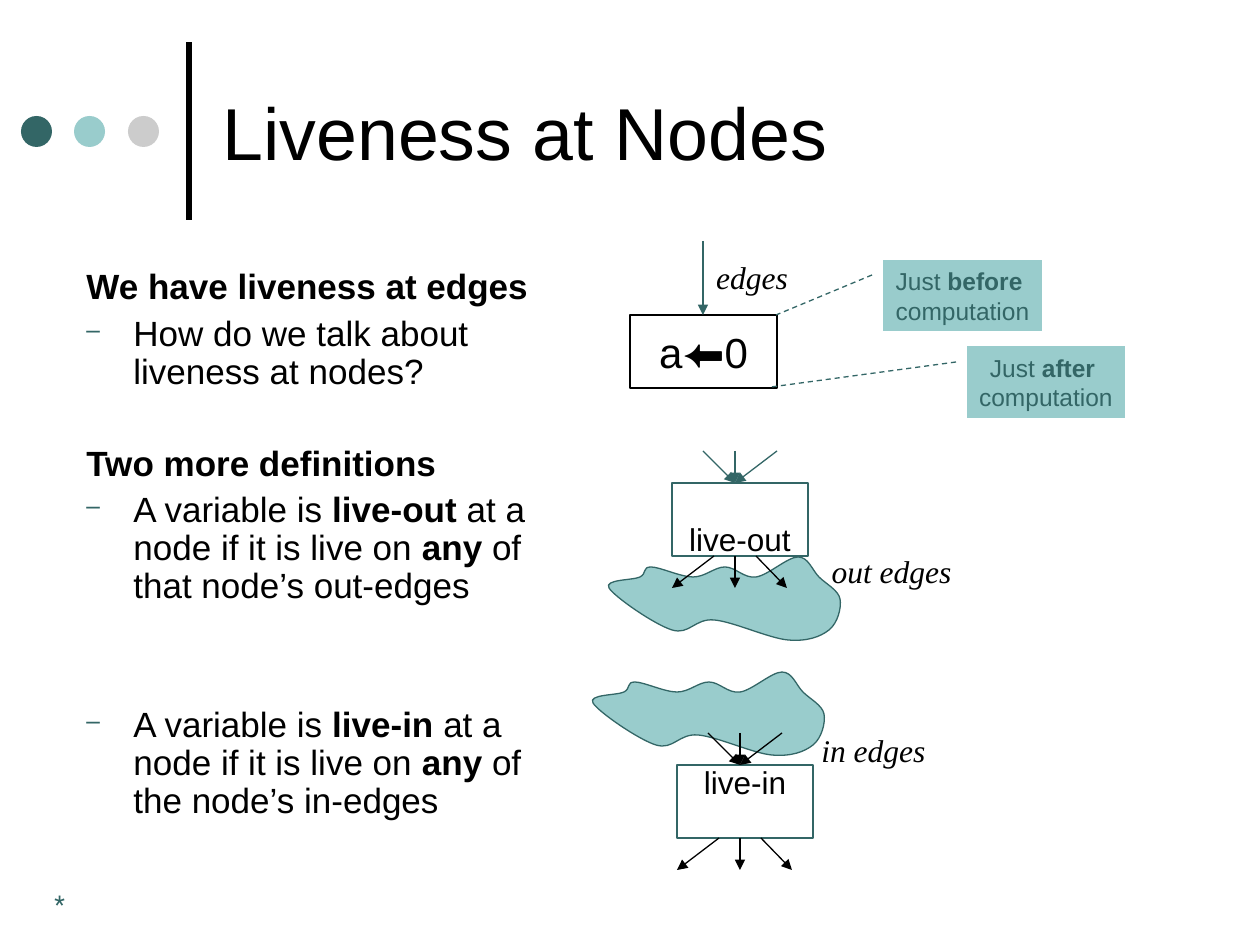
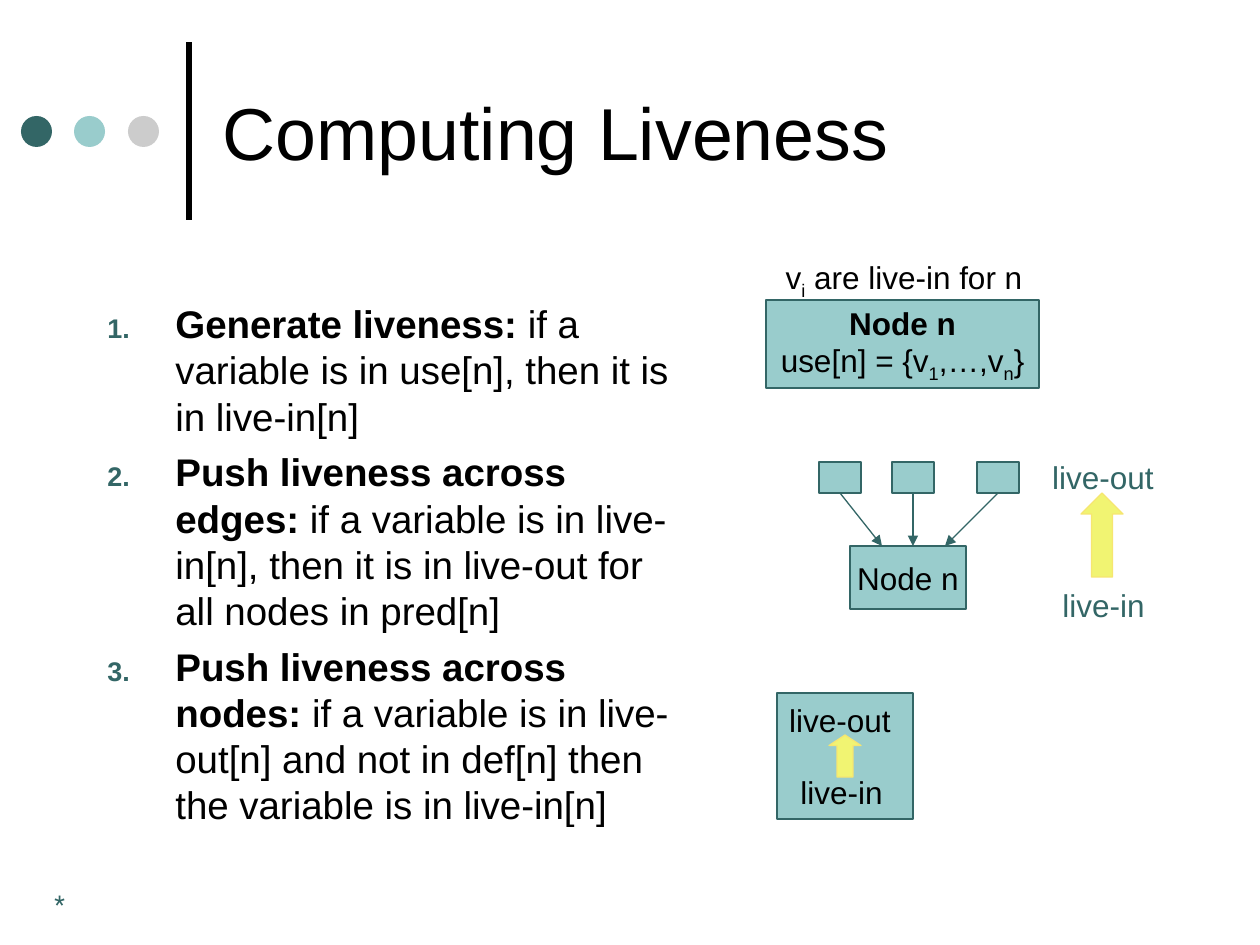
import pptx
import pptx.util
import pptx.dml.color
import pptx.enum.dml
import pptx.enum.shapes
import pptx.enum.text
import pptx.oxml.ns
from lxml import etree

RGBColor = pptx.dml.color.RGBColor
Pt = pptx.util.Pt
Shape = pptx.enum.shapes.MSO_SHAPE
Anchor = pptx.enum.text.MSO_ANCHOR
Align = pptx.enum.text.PP_ALIGN
qn = pptx.oxml.ns.qn

PX = 914400 / 126
LINE_HEIGHT = 1.2
SUBSCRIPT_DROP = 2.9
SANS, SERIF, FOOTER_FONT = "Arial", "Times New Roman", "Roboto Condensed"
BLACK = RGBColor(0, 0, 0)
WHITE = RGBColor(255, 255, 255)
TEAL = RGBColor(0x33, 0x66, 0x66)
AQUA = RGBColor(0x99, 0xCC, 0xCC)
GRAY = RGBColor(0xCC, 0xCC, 0xCC)
YELLOW = RGBColor(0xF1, 0xF4, 0x72)
GOLD = RGBColor(0xF6, 0xE6, 0x70)

DASH = ("buChar", {"char": "–"})
NUMBER = ("buAutoNum", {"type": "arabicPeriod"})

DEFINITIONS = [
    (0, None, [("We have liveness at edges", "b")]),
    (5, DASH, [("How do we talk about liveness at nodes?", "")]),
    (31, None, [("Two more definitions", "b")]),
    (5, DASH, [("A variable is ", ""), ("live-out", "b"), (" at a node if it is live on ", ""),
               ("any", "b"), (" of that node’s out-edges", "")]),
    (58, DASH, [("A variable is ", ""), ("live-in", "b"), (" at a node if it is live on ", ""),
                ("any", "b"), (" of the node’s in-edges", "")]),
]
RULES = [
    (0, NUMBER, [("Generate liveness:", "b"),
                 (" if a variable is in use[n], then it is in live-in[n]", "")]),
    (5.5, NUMBER, [("Push liveness across edges:", "b"),
                   (" if a variable is in live-in[n], then it is in live-out for all nodes in pred[n]", "")]),
    (5.5, NUMBER, [("Push liveness across nodes:", "b"),
                   (" if a variable is in live-out[n] and not in def[n] then the variable is in live-in[n]", "")]),
]

DOTS = [(21, TEAL), (74, AQUA), (128, GRAY)]
CALLOUTS = [
    ((883, 260, 159, 71), "before ", (776, 315, 872, 275)),
    ((967, 346, 158, 72), "after ", (771, 387, 956, 362)),
]
EDGE_LABELS = [
    ("edges", (704, 252, 96, 50)),
    ("out edges", (819, 546, 145, 50)),
    ("in edges", (809, 725, 129, 50)),
]
CLOUD = [(609, 588), (672, 630), (714, 620), (788, 640), (829, 630), (840, 599), (819, 577),
         (798, 557), (756, 577), (725, 567), (693, 577), (651, 567), (640, 577)]
NODES = [
    ("live-out", (0, 0), (0, 0), (39, 0), TEAL),
    ("live-in", (5, 282), (-16, 115), (0, 39), BLACK),
]
IN_EDGES = [(703, 451, 735, 483), (735, 451, 735, 483), (777, 451, 735, 483)]
OUT_EDGES = [(756, 556, 787, 588), (714, 556, 672, 588), (735, 556, 735, 588)]

PREDECESSORS = [(819, 882), (892, 913), (977, 945)]
USE_NODE = [[("Node n", "b")],
            [("use[n] = {v", ""), ("1", "sub"), (",…,v", ""), ("n", "sub"), ("}", "")]]


def emu(*lengths):
    return [round(length * PX) for length in lengths]


def write(frame, paragraphs, size, color=BLACK, font=SANS, align=Align.CENTER, spacing=1.0):
    for index, spans in enumerate(paragraphs):
        para = frame.paragraphs[0] if index == 0 else frame.add_paragraph()
        para.alignment = align
        drop = SUBSCRIPT_DROP if any(style == "sub" for _, style in spans) else 0
        para.line_spacing = Pt(round(size * LINE_HEIGHT * spacing + drop, 1))
        for text, style in spans:
            span = para.add_run()
            span.text = text
            span.font.name = font
            span.font.size = Pt(size)
            span.font.color.rgb = color
            span.font.bold = style == "b"
            span.font.italic = style == "i"
            if style == "sub":
                span._r.get_or_add_rPr().set("baseline", "-25000")


def add_text(shapes, place, paragraphs, size, anchor=Anchor.TOP, **style):
    frame = shapes.add_textbox(*emu(*place)).text_frame
    frame.word_wrap = True
    frame.vertical_anchor = anchor
    write(frame, paragraphs, size, **style)
    return frame


def add_label(shapes, place, spans, **style):
    frame = add_text(shapes, place, [spans], 18, **style)
    frame.word_wrap = False
    frame.margin_left = frame.margin_right = 0


def paint(shape, fill, line):
    shape.shadow.inherit = False
    shape.fill.solid()
    shape.fill.fore_color.rgb = fill
    if line is None:
        shape.line.fill.background()
    else:
        shape.line.color.rgb = line
        shape.line.width = Pt(0.75)


def add_box(shapes, place, fill=AQUA, line=TEAL, kind=Shape.RECTANGLE):
    box = shapes.add_shape(kind, *emu(*place))
    paint(box, fill, line)
    box.text_frame.word_wrap = False
    box.text_frame.vertical_anchor = Anchor.MIDDLE
    return box


def add_up_arrow(shapes, place, head):
    arrow = add_box(shapes, place, YELLOW, GOLD, Shape.UP_ARROW)
    arrow.adjustments[0] = 0.5
    arrow.adjustments[1] = head


def add_callout(shapes, place, moment, pointer):
    left, top, width, height = place
    target_x, target_y, start_x, start_y = pointer
    callout = add_box(shapes, place, kind=Shape.LINE_CALLOUT_1_NO_BORDER)
    callout.line.dash_style = pptx.enum.dml.MSO_LINE.DASH
    for index, (x, y) in enumerate([(start_x, start_y), (target_x, target_y)]):
        callout.adjustments[2 * index] = (y - top) / height
        callout.adjustments[2 * index + 1] = (x - left) / width
    write(callout.text_frame, [[("Just ", ""), (moment, "b")], [("computation", "")]],
          14, color=TEAL)


def add_line(shapes, ends, color, width=0.75, arrow=False):
    line = shapes.add_connector(pptx.enum.shapes.MSO_CONNECTOR.STRAIGHT, *emu(*ends))
    line.line.color.rgb = color
    line.line.width = Pt(width)
    properties = line._element.spPr
    if arrow:
        etree.SubElement(properties.find(qn("a:ln")), qn("a:tailEnd"), type="triangle")
    etree.SubElement(properties, qn("a:effectLst"))


def shift(ends, offset):
    return [value + offset[index % 2] for index, value in enumerate(ends)]


def add_cloud(shapes, offset):
    anchors = [emu(*shift(point, offset)) for point in CLOUD]
    builder = shapes.build_freeform(*anchors[0], scale=1.0)
    builder.add_line_segments(anchors[1:] + anchors[:1], close=True)
    cloud = builder.convert_to_shape()
    paint(cloud, AQUA, TEAL)
    origin = [min(axis) for axis in zip(*anchors)]
    count = len(anchors)
    for index, segment in enumerate(list(cloud._element.iter(qn("a:lnTo")))):
        before, start, end, after = (anchors[(index + step) % count] for step in (-1, 0, 1, 2))
        leaving = [s + (e - b) / 6 for b, s, e in zip(before, start, end)]
        arriving = [e - (a - s) / 6 for s, e, a in zip(start, end, after)]
        segment.tag = qn("a:cubicBezTo")
        for child in list(segment):
            segment.remove(child)
        for point in (leaving, arriving, end):
            x, y = (str(round(value - base)) for value, base in zip(point, origin))
            etree.SubElement(segment, qn("a:pt"), x=x, y=y)


def add_body(shapes, place, items, size, indent, spacing=1.0):
    frame = add_text(shapes, place, [spans for _, _, spans in items], size,
                     align=Align.LEFT, spacing=spacing)
    for para, (before, bullet, _) in zip(frame.paragraphs, items):
        para.space_before = Pt(before)
        properties = para._p.get_or_add_pPr()
        properties.set("marL", str(emu(indent)[0]))
        properties.set("indent", str(-emu(indent)[0]))
        if bullet:
            tag, attributes = bullet
            color = etree.SubElement(properties, qn("a:buClr"))
            etree.SubElement(color, qn("a:srgbClr"), val=str(TEAL))
            etree.SubElement(properties, qn("a:buSzPct"), val="70000")
            etree.SubElement(properties, qn("a:" + tag), attributes)


def add_page(deck, title):
    shapes = deck.slides.add_slide(deck.slide_layouts[6]).shapes
    add_line(shapes, (189, 220, 189, 42), BLACK, width=3)
    for left, color in DOTS:
        add_box(shapes, (left, 116, 31, 31), color, None, Shape.OVAL)
    add_text(shapes, (42, 883, 262, 63), [[("*", "")]], 14,
             color=TEAL, font=FOOTER_FONT, align=Align.LEFT)
    add_text(shapes, (210, 26, 966, 210), [[(title, "")]], 42,
             anchor=Anchor.MIDDLE, align=Align.LEFT)
    return shapes


def build_nodes_page(deck):
    shapes = add_page(deck, "Liveness at Nodes")
    add_body(shapes, (74, 263, 473, 567), DEFINITIONS, 20, 47, spacing=0.9)

    assignment = add_box(shapes, (630, 315, 147, 73), WHITE, BLACK)
    write(assignment.text_frame, [[("a⬅0", "")]], 24)
    add_line(shapes, (703, 241, 703, 315), TEAL, arrow=True)
    for callout in CALLOUTS:
        add_callout(shapes, *callout)

    for name, offset, cloud_offset, margins, in_color in NODES:
        add_cloud(shapes, cloud_offset)
        left, top = shift((672, 483), offset)
        frame = add_box(shapes, (left, top, 136, 73), WHITE).text_frame
        frame.margin_top, frame.margin_bottom = emu(*margins)
        write(frame, [[(name, "")]], 18)
        for edges, color in ((IN_EDGES, in_color), (OUT_EDGES, BLACK)):
            for ends in edges:
                add_line(shapes, shift(ends, offset), color, arrow=True)
    for label, place in EDGE_LABELS:
        add_label(shapes, place, [(label, "i")], font=SERIF)


def build_computing_page(deck):
    shapes = add_page(deck, "Computing Liveness")
    add_body(shapes, (95, 294, 599, 567), RULES, 22, 68)

    write(add_box(shapes, (766, 300, 273, 88)).text_frame, USE_NODE, 18)
    add_label(shapes, (773, 252, 262, 55),
              [("v", ""), ("i", "sub"), (" are live-in for n", "")])

    write(add_box(shapes, (850, 546, 116, 63)).text_frame, [[("Node n", "")]], 18)
    for left, target in PREDECESSORS:
        add_box(shapes, (left, 462, 42, 31))
        add_line(shapes, (left + 21, 493, target, 546), TEAL, arrow=True)
    add_label(shapes, (1050, 580, 107, 50), [("live-in", "")], color=TEAL)
    add_label(shapes, (1040, 452, 126, 50), [("live-out", "")], color=TEAL)
    add_up_arrow(shapes, (1081, 493, 42, 84), 0.5)

    across_node = shapes.add_group_shape().shapes
    add_box(across_node, (777, 693, 136, 126))
    add_label(across_node, (788, 767, 107, 50), [("live-in", "")])
    add_label(across_node, (777, 695, 126, 50), [("live-out", "")])
    add_up_arrow(across_node, (829, 735, 32, 42), 0.33)


def main():
    deck = pptx.Presentation()
    deck.slide_width, deck.slide_height = emu(1260, 945)
    build_nodes_page(deck)
    build_computing_page(deck)
    deck.save("out.pptx")


if __name__ == "__main__":
    main()
